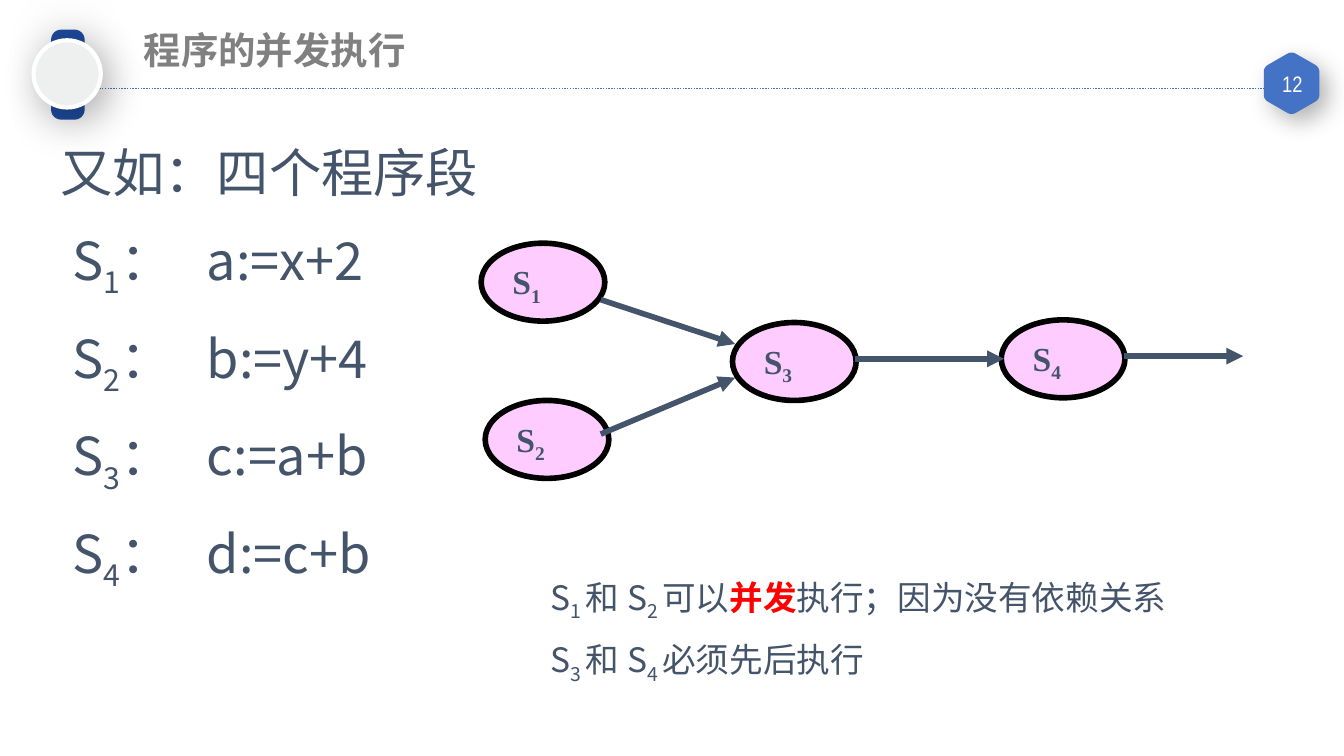
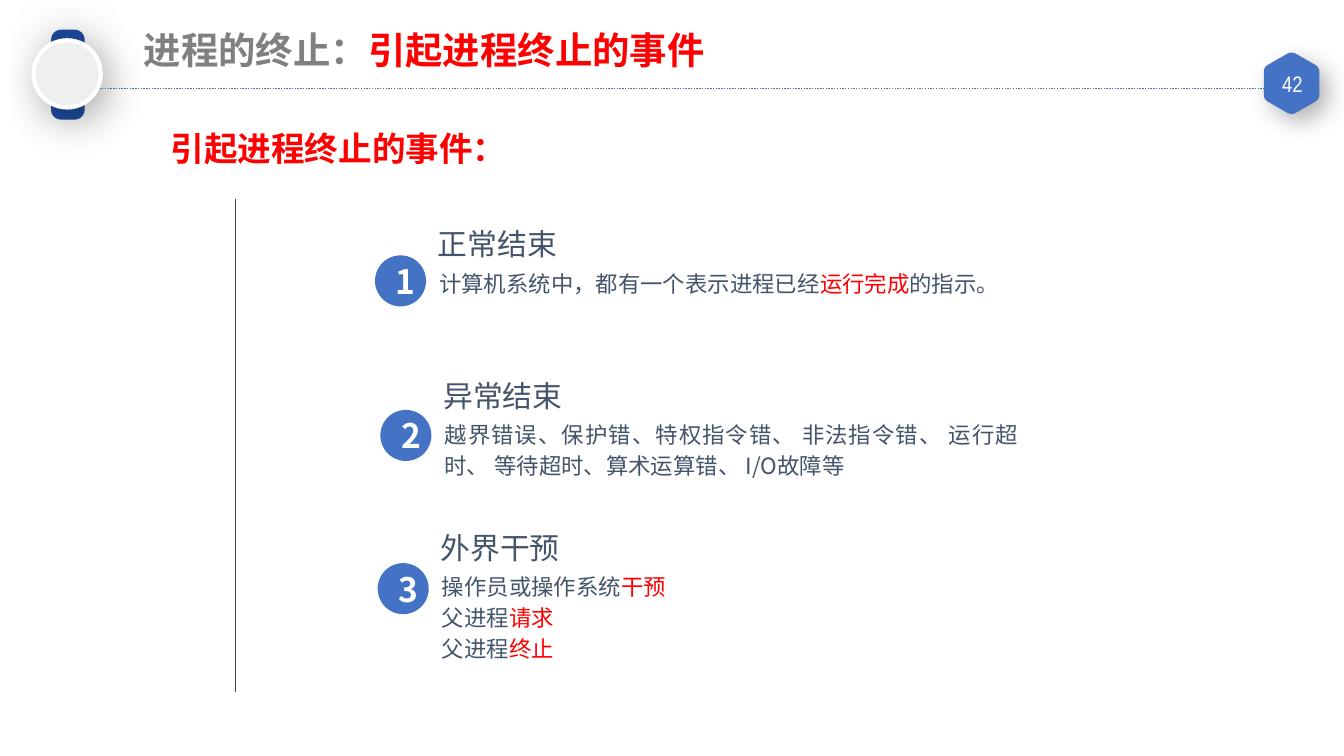
from dataclasses import dataclass
from typing import Optional

from lxml.etree import SubElement
from pptx import Presentation
from pptx.dml.color import RGBColor
from pptx.enum.dml import MSO_LINE
from pptx.enum.shapes import MSO_CONNECTOR, MSO_SHAPE
from pptx.enum.text import MSO_ANCHOR, MSO_AUTO_SIZE, PP_ALIGN
from pptx.oxml.ns import qn
from pptx.util import Inches, Pt

COLUMNS = 10  # square grid cells, one inch each
ROWS = COLUMNS * 9 / 16


@dataclass(frozen=True)
class Theme:
    blue: str = "4472C4"
    navy: str = "1D4999"
    ink: str = "44546A"
    grey: str = "808080"
    red: str = "FF0000"
    white: str = "FFFFFF"
    black: str = "000000"
    pink: str = "FFCCFF"
    dial: str = "EEF0F0"
    rule: str = "414455"
    font: str = "Noto Sans CJK SC"
    number_font: str = "Arial Narrow"
    node_font: str = "Times New Roman"
    code: int = 28
    title: int = 20
    body: int = 18
    heading: int = 16
    detail: int = 12


THEME = Theme()


@dataclass(frozen=True)
class Span:
    text: str
    color: Optional[str] = None
    bold: Optional[bool] = None
    subscript: bool = False


def sub(text):
    return Span(text, subscript=True)


def red(text, bold=None):
    return Span(text, THEME.red, bold)


def cells(*lengths):
    return [Inches(length) for length in lengths]


def rgb(color):
    return RGBColor.from_string(color)


# Text

def write(box, paragraphs, size, color=THEME.ink, font=THEME.font, bold=False,
          align=None, before=0, spacing=None):
    """Fill a box; each paragraph is a list of strings and spans."""
    frame = box.text_frame
    frame.word_wrap = True
    for index, spans in enumerate(paragraphs):
        para = frame.add_paragraph() if index else frame.paragraphs[0]
        para.alignment = align
        if index and before:
            para.space_before = Pt(before)
        if spacing:
            para.line_spacing = spacing
        para.font.name = font
        para.font.size = Pt(size)
        para.font.bold = bold
        para.font.color.rgb = rgb(color)
        properties = para._p.get_or_add_pPr()
        properties.set("hangingPunct", "0")
        SubElement(properties.find(qn("a:defRPr")), qn("a:ea"), typeface=font)
        for span in spans:
            add_span(para, span if isinstance(span, Span) else Span(span))
    return frame


def add_span(para, span):
    run = para.add_run()
    run.text = span.text
    if span.color:
        run.font.color.rgb = rgb(span.color)
    if span.bold is not None:
        run.font.bold = span.bold
    if span.subscript:
        run._r.get_or_add_rPr().set("baseline", "-25000")


def add_text(page, place, paragraphs, size, inset=(0.1, 0.05), grow=True, **style):
    box = page.shapes.add_textbox(*cells(*place))
    frame = write(box, paragraphs, size, **style)
    frame.margin_left = frame.margin_right = Inches(inset[0])
    frame.margin_top = frame.margin_bottom = Inches(inset[1])
    if grow:
        frame.auto_size = MSO_AUTO_SIZE.SHAPE_TO_FIT_TEXT
    return frame


def set_indent_and_tab(para, indent, tab):
    properties = para._p.get_or_add_pPr()
    properties.set("marL", str(Inches(indent)))
    properties.set("indent", "0")
    tabs = SubElement(properties, qn("a:tabLst"))
    SubElement(tabs, qn("a:tab"), pos=str(Inches(tab)), algn="l")
    properties.find(qn("a:defRPr")).addprevious(tabs)


# Shapes and lines

def paint(shape, fill, line=None, width=1, shadow=None):
    """Shadow is opacity in percent, blur and distance in points, angle."""
    shape.fill.solid()
    shape.fill.fore_color.rgb = rgb(fill)
    if line:
        shape.line.color.rgb = rgb(line)
        shape.line.width = Pt(width)
    else:
        shape.line.fill.background()
    shape.shadow.inherit = False
    if shadow:
        opacity, blur, distance, angle = shadow
        effects = shape._element.spPr.find(qn("a:effectLst"))
        outer = SubElement(effects, qn("a:outerShdw"), blurRad=str(Pt(blur)),
                           dist=str(Pt(distance)), dir=str(angle * 60000),
                           algn="ctr", rotWithShape="0")
        tint = SubElement(outer, qn("a:srgbClr"), val=THEME.black)
        SubElement(tint, qn("a:alpha"), val=str(opacity * 1000))
    return shape


def add_shape(page, kind, place, fill, **style):
    return paint(page.shapes.add_shape(kind, *cells(*place)), fill, **style)


def add_line(page, start, end, color, width, dash=None, arrow=False):
    line = page.shapes.add_connector(MSO_CONNECTOR.STRAIGHT, *cells(*start, *end))
    line.line.color.rgb = rgb(color)
    line.line.width = Pt(width)
    if dash:
        line.line.dash_style = dash
    if arrow:
        SubElement(line.line._get_or_add_ln(), qn("a:tailEnd"), type="triangle")
    SubElement(line._element.spPr, qn("a:effectLst"))


def add_hexagon(page, center, radius):
    """Upright hexagon whose corners are rounded by short curves."""
    x, y = center
    half = radius * 0.87
    corners = [(x, y - radius), (x + half, y - radius / 2), (x + half, y + radius / 2),
               (x, y + radius), (x - half, y + radius / 2), (x - half, y - radius / 2)]
    cut = 0.14
    points = []
    for index, corner in enumerate(corners):
        before, after = corners[index - 1], corners[(index + 1) % 6]
        for step in (0, 0.25, 0.5, 0.75, 1):
            back, ahead = cut * (1 - step) ** 2, cut * step ** 2
            points.append(cells(*(c + back * (b - c) + ahead * (a - c)
                                  for b, c, a in zip(before, corner, after))))
    builder = page.shapes.build_freeform(*points[0])
    builder.add_line_segments(points[1:], close=True)
    paint(builder.convert_to_shape(), THEME.blue, line=THEME.blue, shadow=(30, 13, 6, 45))


# Shared header

def add_page(deck, number, title, title_size):
    page = deck.slides.add_slide(deck.slide_layouts[6])
    add_line(page, (0.33, 0.66), (9.43, 0.66), THEME.blue, 0.75, dash=MSO_LINE.ROUND_DOT)
    add_hexagon(page, (9.61, 0.62), 0.23)
    label = add_text(page, (9.42, 0.5, 0.39, 0.25), [[number]], THEME.detail,
                     inset=(0.07, 0.04), grow=False, color=THEME.white,
                     font=THEME.number_font, align=PP_ALIGN.CENTER)
    label.vertical_anchor = MSO_ANCHOR.MIDDLE
    strap = add_shape(page, MSO_SHAPE.ROUNDED_RECTANGLE, (0.17, 0.43, 0.67, 0.25),
                      THEME.navy, shadow=(17, 27, 0, 0))
    strap.adjustments[0] = 0.3
    strap.rotation = 270
    add_shape(page, MSO_SHAPE.OVAL, (0.25, 0.3, 0.5, 0.5), THEME.dial,
              line=THEME.white, width=2.25, shadow=(28, 22, 6, 45))
    add_text(page, (1, 0.16, *title_size), [title], THEME.title,
             inset=(0.07, 0.04), color=THEME.grey, bold=True)
    return page


# Slide content

def add_node(page, number, left, top):
    node = add_shape(page, MSO_SHAPE.OVAL, (left, top, 0.92, 0.58), THEME.pink,
                     line=THEME.black, width=3)
    frame = write(node, [["S", sub(number)]], THEME.body, font=THEME.node_font,
                  bold=True, align=PP_ALIGN.JUSTIFY)
    frame.vertical_anchor = MSO_ANCHOR.TOP


def add_event(page, number, left, badge_top, text_top, heading, details, line_count):
    badge = add_shape(page, MSO_SHAPE.OVAL, (left, badge_top, 0.38, 0.38), THEME.blue)
    frame = write(badge, [[number]], THEME.body, color=THEME.white, bold=True,
                  align=PP_ALIGN.CENTER)
    frame.vertical_anchor = MSO_ANCHOR.MIDDLE
    add_text(page, (left + 0.37, text_top - 0.3, 3.5, 0.37), [[heading]], THEME.heading)
    add_text(page, (left + 0.38, text_top, 4.47, 0.07 + 0.24 * line_count), details,
             THEME.detail, align=PP_ALIGN.JUSTIFY, spacing=1.14)


def build_concurrency(deck):
    page = add_page(deck, "12", ["程序的并发执行"], (3.52, 0.41))

    # Program segments
    statements = ["a:=x+2", "b:=y+4", "c:=a+b", "d:=c+b"]
    segments = [["S", sub(str(number)), "：\t" + statement]
                for number, statement in enumerate(statements, 1)]
    frame = add_text(page, (0.33, 0.98, 3.5, 3.42), [["又如：四个程序段"], *segments],
                     THEME.code, inset=(0.12, 0.06), before=THEME.code / 2)
    for para in frame.paragraphs[1:]:
        set_indent_and_tab(para, 0.09, 1.29)

    # Precedence graph
    for number, left, top in [("3", 5.45, 2.4), ("2", 3.61, 2.98),
                              ("1", 3.58, 1.81), ("4", 7.45, 2.38)]:
        add_node(page, number, left, top)
    for start, end in [((4.47, 2.23), (5.47, 2.56)), ((4.47, 3.23), (5.47, 2.81)),
                       ((6.36, 2.67), (7.47, 2.67)), ((8.36, 2.65), (9.25, 2.65))]:
        add_line(page, start, end, THEME.ink, 3, arrow=True)

    # Conclusions
    add_text(page, (4, 4.24, 5.03, 0.86), [
        ["S", sub("1 "), "和 S", sub("2 "), "可以", red("并发", bold=True),
         "执行；因为没有依赖关系"],
        ["S", sub("3 "), "和 S", sub("4 "), "必须先后执行"],
    ], THEME.body, before=THEME.body / 2)


def build_termination(deck):
    page = add_page(deck, "42", ["进程的终止：", red("引起进程终止的事件")], (7.5, 0.75))
    add_line(page, (1.75, 5.15), (1.75, 1.48), THEME.rule, 0.25)

    # Numbered events
    events = [
        (2.79, 1.9, "正常结束", 1,
         [["计算机系统中，都有一个表示进程已经", red("运行完成"), "的指示。"]]),
        (2.83, 3.05, "异常结束", 2,
         [["越界错误、保护错、特权指令错、 非法指令错、 "
           "运行超时、 等待超时、算术运算错、 I/O故障等"]]),
        (2.81, 4.19, "外界干预", 3,
         [["操作员或操作系统", red("干预")], ["父进程", red("请求")],
          ["父进程", red("终止")]]),
    ]
    for index, (left, badge_top, heading, line_count, details) in enumerate(events):
        add_event(page, str(index + 1), left, badge_top, 1.93 + 1.13 * index, heading,
                  details, line_count)
    add_text(page, (1.17, 0.9, 2.92, 0.4), [["引起进程终止的事件："]], THEME.body,
             color=THEME.red, bold=True)


def main():
    deck = Presentation()
    deck.slide_width, deck.slide_height = cells(COLUMNS, ROWS)
    build_concurrency(deck)
    build_termination(deck)
    deck.save("out.pptx")


if __name__ == "__main__":
    main()
